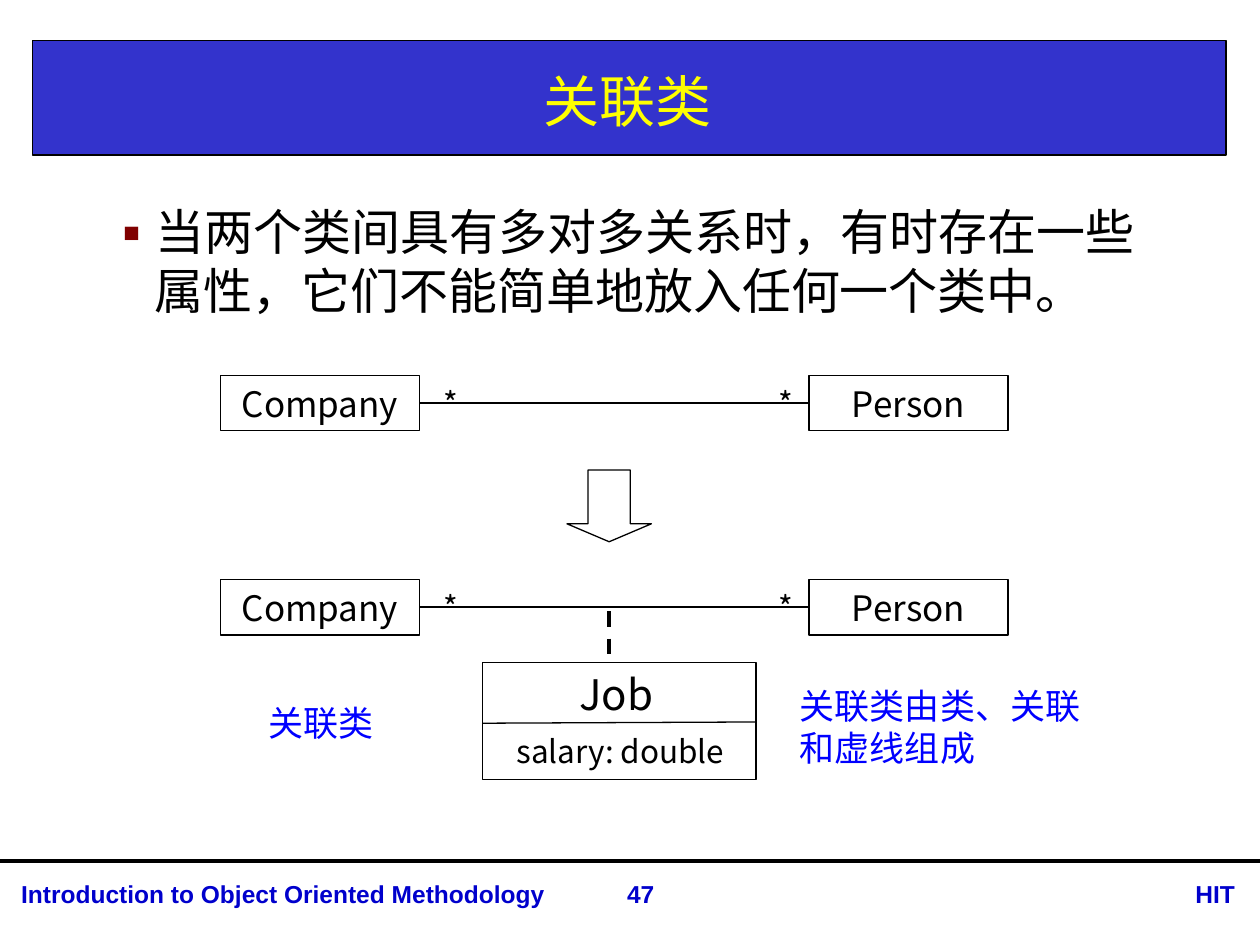
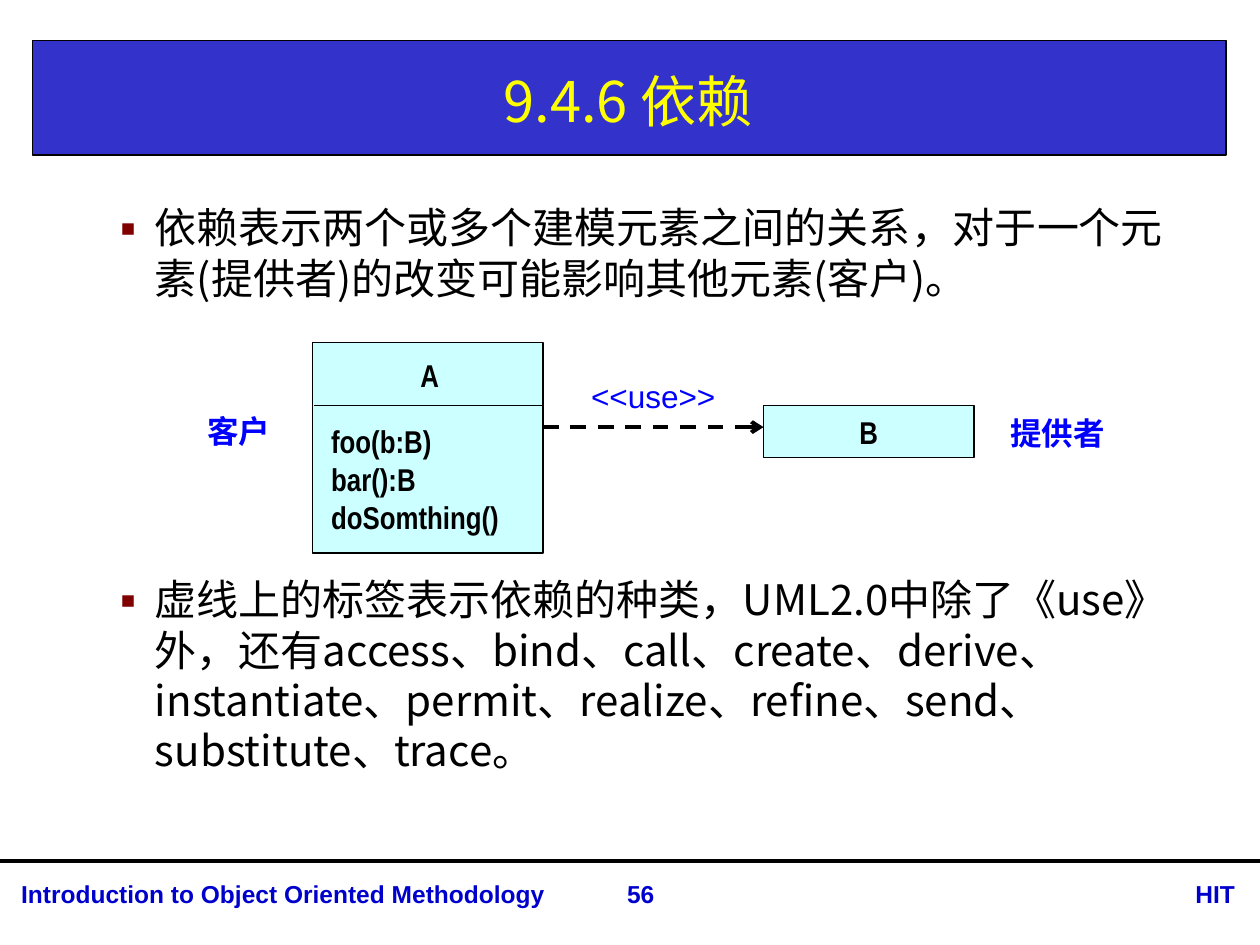
from dataclasses import dataclass
from typing import NamedTuple, Optional

from lxml import etree
from pptx import Presentation
from pptx.dml.color import RGBColor
from pptx.enum import dml, shapes, text
from pptx.oxml import ns
from pptx.util import Inches, Pt

LEFT, CENTER, RIGHT = text.PP_ALIGN.LEFT, text.PP_ALIGN.CENTER, text.PP_ALIGN.RIGHT
RECT = shapes.MSO_SHAPE.RECTANGLE


@dataclass(frozen=True)
class Theme:
    black: str = "000000"
    white: str = "FFFFFF"
    band: str = "3333CC"
    title: str = "FFFF00"
    footer: str = "0000CC"
    bullet: str = "800000"
    note: str = "0000FF"
    uml_fill: str = "CCFFFF"
    cjk: str = "Noto Sans CJK SC"
    sans: str = "Arial"
    narrow: str = "Arial Narrow"
    title_size: int = 32
    body_large: int = 28
    body_small: int = 24
    heading_size: int = 24
    class_size: int = 20
    label_size: int = 18
    footer_size: int = 14
    thin: float = 0.75
    medium: float = 1.25
    thick: float = 2.25


T = Theme()


class Box(NamedTuple):
    left: float
    top: float
    width: float
    height: float

    def emu(self) -> tuple:
        return tuple(Inches(v) for v in self)


@dataclass(frozen=True)
class Style:
    size: int
    font: str = T.cjk
    color: str = T.black
    bold: bool = False


TITLE = Style(T.title_size, color=T.title)
FOOTER = Style(T.footer_size, T.sans, T.footer, True)
CLASS_NAME = Style(T.class_size)
LABEL = Style(T.label_size)
NOTE = Style(T.class_size, color=T.note)
MEMBER = Style(T.label_size, T.narrow, bold=True)
ROLE = Style(T.label_size, T.sans, T.note, True)
STEREOTYPE = Style(T.label_size, T.sans, T.note)


class Label(NamedTuple):
    words: str
    box: Box
    style: Style
    align: text.PP_ALIGN = LEFT


# Text helpers
def add_run(p, words: str, style: Style) -> None:
    r = p.add_run()
    r.text = words
    r.font.name, r.font.size, r.font.bold = style.font, Pt(style.size), style.bold
    r.font.color.rgb = RGBColor.from_string(style.color)
    etree.SubElement(r._r.get_or_add_rPr(), ns.qn("a:ea"), typeface=T.cjk)


def write(tf, lines: list[str], style: Style, align=LEFT) -> None:
    tf.word_wrap = True
    for i, words in enumerate(lines):
        p = tf.paragraphs[0] if i == 0 else tf.add_paragraph()
        p.alignment = align
        add_run(p, words, style)


def add_label(s, label: Label) -> None:
    sp = s.shapes.add_textbox(*label.box.emu())
    write(sp.text_frame, label.words.split("\n"), label.style, label.align)


def add_bullet(p) -> None:
    pPr = p._p.get_or_add_pPr()
    pPr.set("marL", str(Inches(0.38)))
    pPr.set("indent", str(-Inches(0.38)))
    color = etree.SubElement(pPr, ns.qn("a:buClr"))
    etree.SubElement(color, ns.qn("a:srgbClr"), val=T.bullet)
    etree.SubElement(pPr, ns.qn("a:buFont"), typeface=T.cjk)
    etree.SubElement(pPr, ns.qn("a:buChar"), char="▪")


# Shape helpers
def add_box(s, box: Box, fill: str = T.white, kind=RECT, words: str = "",
            style: Optional[Style] = None):
    sp = s.shapes.add_shape(kind, *box.emu())
    sp.shadow.inherit = False
    sp.fill.solid()
    sp.fill.fore_color.rgb = RGBColor.from_string(fill)
    sp.line.color.rgb = RGBColor.from_string(T.black)
    sp.line.width = Pt(T.thin)
    if words:
        sp.text_frame.vertical_anchor = text.MSO_ANCHOR.MIDDLE
        write(sp.text_frame, [words], style, CENTER)
    return sp


def add_line(s, x1: float, y1: float, x2: float, y2: float, width: float = T.thin,
             dashed: bool = False, arrow: bool = False) -> None:
    line = s.shapes.add_connector(shapes.MSO_CONNECTOR.STRAIGHT,
                                  Inches(x1), Inches(y1), Inches(x2), Inches(y2))
    line.line.color.rgb = RGBColor.from_string(T.black)
    line.line.width = Pt(width)
    if dashed:
        line.line.dash_style = dml.MSO_LINE.DASH
    if arrow:
        etree.SubElement(line.line._get_or_add_ln(), ns.qn("a:tailEnd"), type="arrow")
    etree.SubElement(line.element.spPr, ns.qn("a:effectLst"))


# Shared frame: title band, bulleted body, footer
def add_frame(prs, title: str, number: int, bullets: list[str], size: int,
              body_height: float, gap: float = 0):
    s = prs.slides.add_slide(prs.slide_layouts[1])
    heading, body = s.shapes.title, s.placeholders[1]
    band = add_box(s, Box(0.26, 0.32, 9.47, 0.91), T.band)
    heading.element.addprevious(band.element)
    for sp, box in ((heading, Box(0.26, 0.36, 9.45, 0.87)),
                    (body, Box(0.75, 1.55, 8.66, body_height))):
        sp.left, sp.top, sp.width, sp.height = box.emu()
        sp.text_frame.auto_size = text.MSO_AUTO_SIZE.NONE
    heading.text_frame.vertical_anchor = text.MSO_ANCHOR.MIDDLE
    write(heading.text_frame, [title], TITLE, CENTER)

    write(body.text_frame, bullets, Style(size))
    for i, p in enumerate(body.text_frame.paragraphs):
        add_bullet(p)
        p.space_before = Pt(gap if i else 0)
        p.space_after = Pt(5)

    add_line(s, 0, 6.83, 10, 6.83, T.thick)
    for words, left, width, align in (
            ("Introduction to Object Oriented Methodology", 0.07, 4.63, LEFT),
            ("HIT", 8.87, 1.03, RIGHT),
            (str(number), 4.57, 1.03, CENTER)):
        add_label(s, Label(words, Box(left, 6.93, width, 0.34), FOOTER, align))
    return s


# Company and Person joined by a many-to-many association
def add_association(s, top: float) -> None:
    middle = top + 0.22
    for name, left in (("Company", 1.75), ("Person", 6.42)):
        add_box(s, Box(left, top, 1.58, 0.44), words=name, style=CLASS_NAME)
    add_line(s, 3.33, middle, 6.42, middle, T.medium)
    for left in (3.42, 6.08):
        add_label(s, Label("*", Box(left, top + 0.02, 0.42, 0.4), LABEL))


def build_association_class(prs) -> None:
    s = add_frame(prs, "关联类", 47, [
        "当两个类间具有多对多关系时，有时存在一些属性，它们不能简单地放入任何一个类中。",
    ], T.body_large, 0.99)
    for top in (2.98, 4.6):
        add_association(s, top)
    add_box(s, Box(4.5, 3.73, 0.67, 0.57), kind=shapes.MSO_SHAPE.DOWN_ARROW
            ).adjustments[1] = 0.25

    # Job class hanging from the association
    add_box(s, Box(3.83, 5.26, 2.17, 0.93))
    add_line(s, 3.83, 5.74, 6, 5.73)
    add_line(s, 4.83, 4.85, 4.83, 5.26, T.thick, dashed=True)
    for label in (
            Label("salary: double", Box(4, 5.76, 2.08, 0.4), LABEL),
            Label("Job", Box(4.5, 5.26, 0.83, 0.5), Style(T.heading_size)),
            Label("关联类", Box(2.03, 5.52, 1.42, 0.44), NOTE),
            Label("关联类由类、关联和虚线组成", Box(6.25, 5.38, 2.5, 0.77), NOTE)):
        add_label(s, label)


def build_dependency(prs) -> None:
    s = add_frame(prs, "9.4.6 依赖", 56, [
        "依赖表示两个或多个建模元素之间的关系，对于一个元素(提供者)的改变可能影响其他元素(客户)。",
        "虚线上的标签表示依赖的种类，UML2.0中除了《use》外，还有access、bind、call、create、"
        "derive、instantiate、permit、realize、refine、send、substitute、trace。",
    ], T.body_small, 1.52, gap=150)

    # Client class A depends on supplier class B
    add_box(s, Box(2.48, 2.72, 1.83, 1.67), T.uml_fill)
    add_line(s, 2.49, 3.22, 4.31, 3.22)
    add_box(s, Box(6.06, 3.22, 1.67, 0.41), T.uml_fill, words="B", style=MEMBER)
    add_line(s, 4.31, 3.39, 6.06, 3.39, T.thick, dashed=True, arrow=True)
    for label in (
            Label("A", Box(2.7, 2.78, 1.42, 0.4), MEMBER, CENTER),
            Label("foo(b:B)\nbar():B\ndoSomthing()", Box(2.53, 3.3, 1.61, 1), MEMBER),
            Label("<<use>>", Box(4.52, 2.94, 1.33, 0.4), STEREOTYPE, CENTER),
            Label("提供者", Box(7.73, 3.24, 1.33, 0.4), ROLE, CENTER),
            Label("客户", Box(1.23, 3.22, 1.33, 0.4), ROLE, CENTER)):
        add_label(s, label)


def main() -> None:
    prs = Presentation()
    prs.slide_width, prs.slide_height = Inches(10), Inches(7.5)
    build_association_class(prs)
    build_dependency(prs)
    prs.save("out.pptx")


if __name__ == "__main__":
    main()
